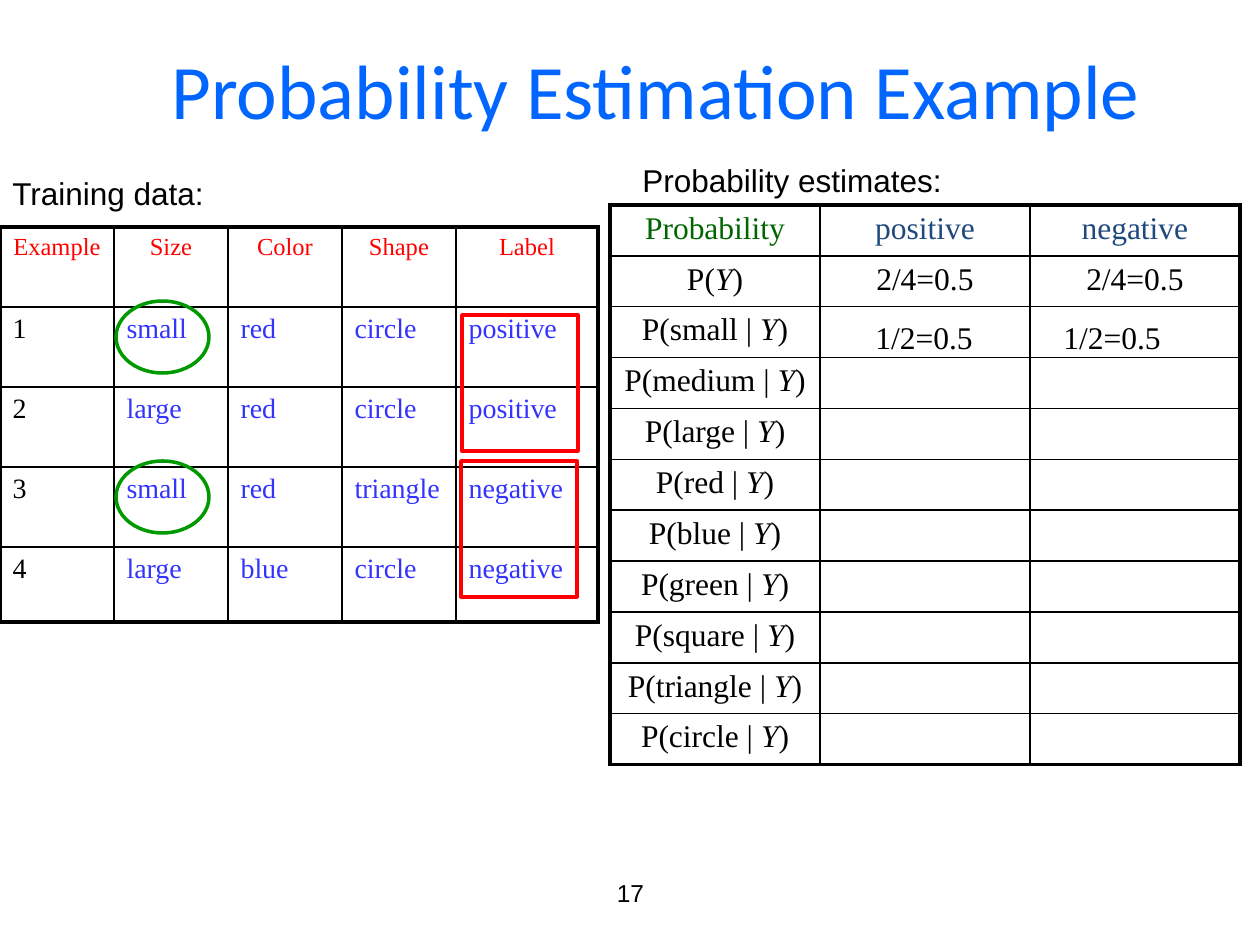
from lxml.etree import SubElement
from pptx import Presentation
from pptx.dml.color import RGBColor
from pptx.enum.shapes import MSO_SHAPE as Shape
from pptx.enum.text import MSO_ANCHOR as Anchor, MSO_AUTO_SIZE as AutoSize, PP_ALIGN as Align
from pptx.oxml.ns import qn
from pptx.util import Emu, Pt

SERIF, SANS = "Times New Roman", "Arial"
BLACK, RED, GREEN = "000000", "FF0000", "009900"
HEADING, VALUE, NAVY, DARK_GREEN = "0066FF", "3333FF", "1F497D", "006600"


def px(count):
    return Emu(round(count * 914400 / 126))


def color(code):
    return RGBColor.from_string(code)


class SlideMaker:
    def __init__(self, deck):
        self.page = deck.slides.add_slide(deck.slide_layouts[5])

    def style(self, para, font, size, ink, align=Align.LEFT):
        para.alignment = align
        para.font.name = font
        para.font.size = Pt(size)
        para.font.color.rgb = color(ink)

    def title(self, text, left, top, width, height):
        box = self.page.shapes.title
        box.left, box.top, box.width, box.height = map(px, (left, top, width, height))
        frame = box.text_frame
        frame.text = text
        frame.vertical_anchor = Anchor.MIDDLE
        self.style(frame.paragraphs[0], "Calibri", 44, HEADING, Align.CENTER)

    def label(self, text, left, top, width, height, font=SANS, size=18):
        box = self.page.shapes.add_textbox(*map(px, (left, top, width, height)))
        frame = box.text_frame
        frame.word_wrap = False
        frame.auto_size = AutoSize.SHAPE_TO_FIT_TEXT
        frame.text = text
        self.style(frame.paragraphs[0], font, size, BLACK)

    def page_number(self, text, left, top, width, height):
        box = self.page.shapes.add_textbox(*map(px, (left, top, width, height)))
        frame = box.text_frame
        frame.word_wrap = True
        frame.vertical_anchor = Anchor.MIDDLE
        frame.text = text
        self.style(frame.paragraphs[0], SANS, 14, BLACK, Align.CENTER)

    def outline(self, kind, left, top, width, height, ink):
        shape = self.page.shapes.add_shape(kind, *map(px, (left, top, width, height)))
        shape.shadow.inherit = False
        shape.fill.background()
        shape.line.color.rgb = color(ink)
        shape.line.width = Pt(2)

    def border(self, cell, outer):
        props = cell._tc.get_or_add_tcPr()
        for side, thick in zip("LRTB", outer):
            width = Pt(2.25 if thick else 1)
            line = SubElement(props, qn(f"a:ln{side}"), w=str(width))
            fill = SubElement(line, qn("a:solidFill"))
            SubElement(fill, qn("a:srgbClr"), val=BLACK)

    def table(self, rows, left, top, widths, heights, look):
        row_count, column_count = len(rows), len(widths)
        frame = self.page.shapes.add_table(
            row_count, column_count, px(left), px(top), px(sum(widths)), px(sum(heights)))
        table = frame.table
        table.first_row = table.horz_banding = False
        for column, width in zip(table.columns, widths):
            column.width = px(width)
        for row, height in zip(table.rows, heights):
            row.height = px(height)
        for r, texts in enumerate(rows):
            for c, text in enumerate(texts):
                cell = table.cell(r, c)
                self.border(cell, (c == 0, c == column_count - 1, r == 0, r == row_count - 1))
                cell.fill.background()
                para = cell.text_frame.paragraphs[0]
                self.style(para, SERIF, *look(r, c))
                for index, part in enumerate(text.partition("Y")):
                    if part:
                        span = para.add_run()
                        span.text = part
                        if index == 1:
                            span.font.italic = True


def estimate_look(row, column):
    ink = BLACK if row else NAVY if column else DARK_GREEN
    return 18, ink, Align.CENTER


def training_look(row, column):
    if row == 0:
        return 14, RED, Align.CENTER
    return 16, VALUE if column else BLACK, Align.LEFT


def main():
    deck = Presentation()
    deck.slide_width, deck.slide_height = px(1260), px(945)
    maker = SlideMaker(deck)

    maker.page_number("17", 431, 861, 399, 63)
    maker.title("Probability Estimation Example", 94, 10, 1124, 158)

    features = "small medium large red blue green square triangle circle".split()
    estimates = [["Probability", "positive", "negative"], ["P(Y)", "2/4=0.5", "2/4=0.5"]]
    estimates += [[f"P({feature} | Y)", "", ""] for feature in features]
    row_edges = [round(558 * edge / len(estimates)) for edge in range(len(estimates) + 1)]
    row_heights = [low - high for high, low in zip(row_edges, row_edges[1:])]
    maker.table(estimates, 610, 205, [210] * 3, row_heights, estimate_look)

    training = [
        ["Example", "Size", "Color", "Shape", "Label"],
        ["1", "small", "red", "circle", "positive"],
        ["2", "large", "red", "circle", "positive"],
        ["3", "small", "red", "triangle", "negative"],
        ["4", "large", "blue", "circle", "negative"],
    ]
    maker.table(training, 0, 227, [114] * 4 + [142], [80] * 4 + [75], training_look)

    maker.label("Training data:", 0, 168, 219, 50)
    maker.label("Probability estimates:", 630, 155, 328, 50)
    for left, top in ((462, 315), (461, 461)):
        maker.outline(Shape.RECTANGLE, left, top, 116, 136, RED)
    for top in (301, 461):
        maker.outline(Shape.OVAL, 116, top, 93, 72, GREEN)
    for left, top in ((863, 312), (1051, 312)):
        maker.label("1/2=0.5", left, top, 123, 50, SERIF)

    deck.save("out.pptx")


if __name__ == "__main__":
    main()
